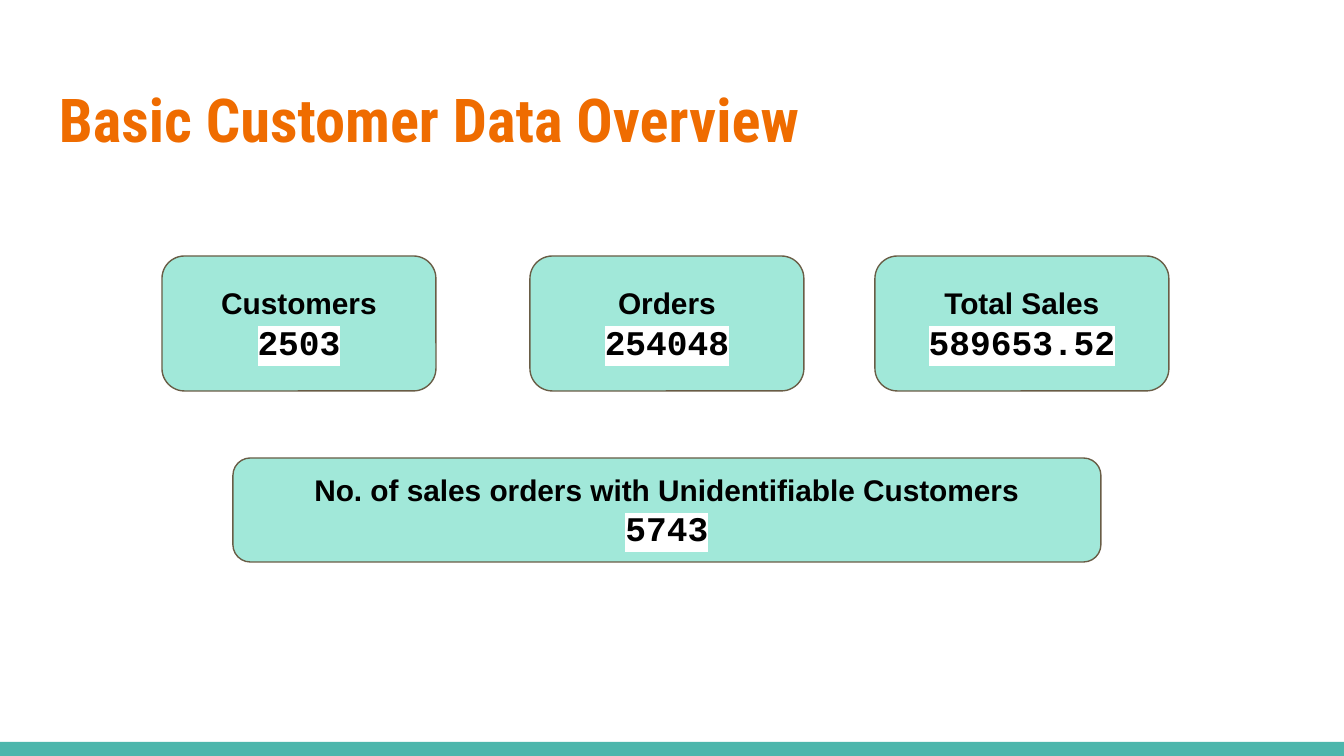
"""Build the customer data overview slide with its four figure cards."""
from dataclasses import dataclass

from lxml import etree
from pptx import Presentation
from pptx import util as u
from pptx.dml.color import RGBColor
from pptx.enum import shapes, text
from pptx.oxml import ns
from pptx.slide import Slide

SCALE = 914400 / 134.4


@dataclass(frozen=True)
class Theme:
    title: str = "EF6C00"
    bar: str = "4DB6AC"
    card: str = "A1E8D9"
    border: str = "695D46"
    ink: str = "000000"
    highlight: str = "FFFFFF"
    title_font: str = "Roboto Condensed"
    label_font: str = "Arial"
    value_font: str = "Courier New"
    title_size: float = 32.4
    label_size: float = 16
    value_size: float = 18.5
    border_width: float = 0.75


@dataclass(frozen=True)
class Box:
    x: int
    y: int
    w: int
    h: int

    def emu(self) -> tuple[int, ...]:
        return tuple(round(v * SCALE) for v in (self.x, self.y, self.w, self.h))


@dataclass(frozen=True)
class Card:
    label: str
    value: str
    box: Box


THEME = Theme()
PAGE = Box(0, 0, 1344, 756)
BAR = Box(0, 742, 1344, 14)
TITLE = Box(46, 66, 1252, 104)
INSET = 13
ROW_Y, ROW_H = 256, 135
CARDS = (
    Card("Customers", "2503", Box(162, ROW_Y, 274, ROW_H)),
    Card("Orders", "254048", Box(530, ROW_Y, 274, ROW_H)),
    Card("Total Sales", "589653.52", Box(875, ROW_Y, 294, ROW_H)),
    Card("No. of sales orders with Unidentifiable Customers", "5743",
         Box(233, 458, 868, 104)),
)


def style_run(r, font: str, size: float, color: str) -> None:
    r.font.name = font
    r.font.size = u.Pt(size)
    r.font.bold = True
    r.font.color.rgb = RGBColor.from_string(color)


def highlight_run(r, color: str) -> None:
    mark = etree.Element(ns.qn("a:highlight"))
    etree.SubElement(mark, ns.qn("a:srgbClr"), val=color)
    r.font._element.find(ns.qn("a:solidFill")).addnext(mark)


def prepare_frame(tf) -> None:
    tf.word_wrap = True
    tf.vertical_anchor = text.MSO_ANCHOR.MIDDLE
    inset = round(INSET * SCALE)
    tf.margin_left = tf.margin_right = tf.margin_top = tf.margin_bottom = inset


def add_block(s: Slide, kind: shapes.MSO_SHAPE, box: Box, color: str):
    sp = s.shapes.add_shape(kind, *box.emu())
    sp.shadow.inherit = False
    sp.fill.solid()
    sp.fill.fore_color.rgb = RGBColor.from_string(color)
    sp.line.fill.background()
    return sp


def add_title(s: Slide, title: str) -> None:
    tf = s.shapes.add_textbox(*TITLE.emu()).text_frame
    prepare_frame(tf)
    tf.text = title
    style_run(tf.paragraphs[0].runs[0], THEME.title_font, THEME.title_size, THEME.title)


def add_card(s: Slide, card: Card) -> None:
    sp = add_block(s, shapes.MSO_SHAPE.ROUNDED_RECTANGLE, card.box, THEME.card)
    sp.line.color.rgb = RGBColor.from_string(THEME.border)
    sp.line.width = u.Pt(THEME.border_width)
    tf = sp.text_frame
    prepare_frame(tf)
    tf.text = f"{card.label}\n{card.value}"
    for p in tf.paragraphs:
        p.alignment = text.PP_ALIGN.CENTER
    label, value = (p.runs[0] for p in tf.paragraphs)
    style_run(label, THEME.label_font, THEME.label_size, THEME.ink)
    style_run(value, THEME.value_font, THEME.value_size, THEME.ink)
    highlight_run(value, THEME.highlight)


def main() -> None:
    prs = Presentation()
    _, _, prs.slide_width, prs.slide_height = PAGE.emu()
    s = prs.slides.add_slide(prs.slide_layouts[6])
    add_block(s, shapes.MSO_SHAPE.RECTANGLE, BAR, THEME.bar)
    add_title(s, "Basic Customer Data Overview")
    for card in CARDS:
        add_card(s, card)
    prs.save("out.pptx")


if __name__ == "__main__":
    main()
